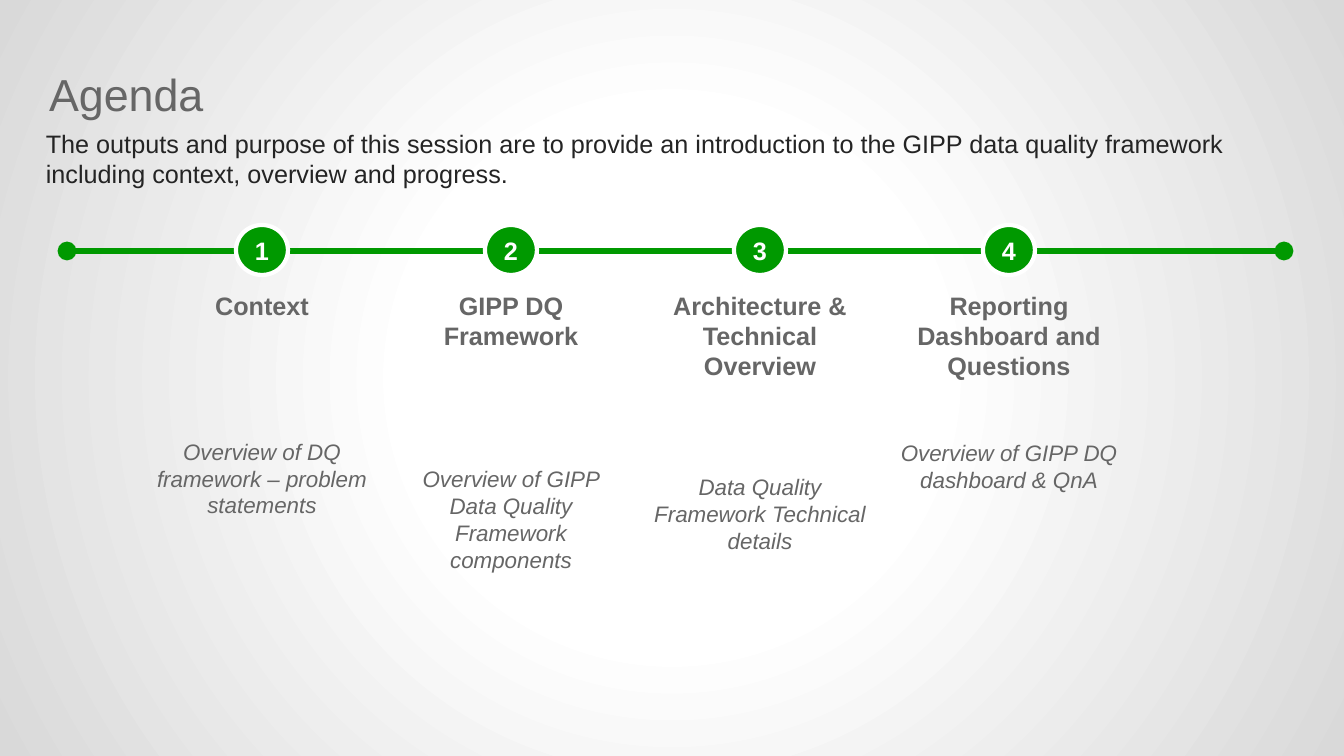
from lxml import etree
from pptx import Presentation
from pptx.dml.color import RGBColor
from pptx.enum.shapes import MSO_CONNECTOR, MSO_SHAPE
from pptx.enum.text import MSO_ANCHOR, MSO_AUTO_SIZE, PP_ALIGN
from pptx.oxml import parse_xml
from pptx.oxml.ns import qn
from pptx.util import Pt

GREEN = RGBColor(0x00, 0x99, 0x00)
GRAY = RGBColor(0x66, 0x66, 0x66)
DARK = RGBColor(0x24, 0x24, 0x24)
WHITE = RGBColor(0xFF, 0xFF, 0xFF)
SILVER = RGBColor(0xD9, 0xD9, 0xD9)

SCALE = 914400 / 100.8
SPACE = "http://schemas.openxmlformats.org/drawingml/2006/main"
FONT = "Arial"

TITLE = dict(size=Pt(32))
INTRO = dict(size=Pt(18))
BADGE = dict(size=Pt(18), bold=True)
HEAD = dict(size=Pt(18), bold=True)
DETAIL = dict(size=Pt(16), italic=True)

STEPS = [
    ("Context", "Overview of DQ framework – problem statements", 84),
    ("GIPP DQ Framework", "Overview of GIPP Data Quality Framework components", 82),
    ("Architecture & Technical Overview", "Data Quality Framework Technical details", 66),
    ("Reporting Dashboard and Questions", "Overview of GIPP DQ dashboard & QnA", 42),
]
PITCH = 249


def emu(*px):
    return [round(n * SCALE) for n in px]


class Deck:
    def __init__(self):
        self.prs = Presentation()
        self.prs.slide_width, self.prs.slide_height = emu(1344, 756)
        self.slide = self.prs.slides.add_slide(self.prs.slide_layouts[5])
        self.shapes = self.slide.shapes

    def back(self):
        fill = self.slide.background.fill
        fill.gradient()
        for stop, (place, color) in zip(fill.gradient_stops, [(0.34, WHITE), (1, SILVER)]):
            stop.position = place
            stop.color.rgb = color
        lin = next(self.slide.element.iter(qn("a:lin")))
        lin.getparent().replace(lin, parse_xml(
            f'<a:path xmlns:a="{SPACE}" path="circle">'
            '<a:fillToRect l="50000" t="50000" r="50000" b="50000"/></a:path>'))

    def label(self, para, text, style, color, align=PP_ALIGN.LEFT):
        para.text = text
        para.alignment = align
        for key, value in dict(style, name=FONT).items():
            setattr(para.font, key, value)
        para.font.color.rgb = color

    def title(self, text, *box):
        shape = self.shapes.title
        shape.left, shape.top, shape.width, shape.height = emu(*box)
        frame = shape.text_frame
        form = dict(margin_left=0, margin_top=0, margin_right=0, margin_bottom=0,
                    vertical_anchor=MSO_ANCHOR.TOP, auto_size=MSO_AUTO_SIZE.NONE)
        for key, value in form.items():
            setattr(frame, key, value)
        self.label(frame.paragraphs[0], text, TITLE, GRAY)
        frame.paragraphs[0].line_spacing = 0.9

    def text(self, *box):
        frame = self.shapes.add_textbox(*emu(*box)).text_frame
        frame.word_wrap = True
        return frame

    def line(self, *ends):
        line = self.shapes.add_connector(MSO_CONNECTOR.STRAIGHT, *emu(*ends))
        line.line.color.rgb = GREEN
        line.line.width = Pt(4.5)
        props = line._element.spPr
        pen = props.find(qn("a:ln"))
        for end in ("a:headEnd", "a:tailEnd"):
            etree.SubElement(pen, qn(end), type="oval")
        etree.SubElement(props, qn("a:effectLst"))

    def badge(self, text, *box):
        shape = self.shapes.add_shape(MSO_SHAPE.FLOWCHART_CONNECTOR, *emu(*box))
        shape.shadow.inherit = False
        shape.fill.solid()
        shape.fill.fore_color.rgb = GREEN
        shape.line.color.rgb = WHITE
        shape.line.width = Pt(3)
        shape.text_frame.vertical_anchor = MSO_ANCHOR.MIDDLE
        self.label(shape.text_frame.paragraphs[0], text, BADGE, WHITE, PP_ALIGN.CENTER)

    def step(self, head, detail, gap, *box):
        frame = self.text(*box)
        self.label(frame.paragraphs[0], head, HEAD, GRAY, PP_ALIGN.CENTER)
        para = frame.add_paragraph()
        self.label(para, detail, DETAIL, GRAY, PP_ALIGN.CENTER)
        para.space_before = Pt(gap)


def main():
    deck = Deck()
    deck.back()
    deck.title("Agenda", 49, 73, 1068, 110)
    intro = deck.text(36, 123, 1275, 72)
    deck.label(intro.paragraphs[0],
               "The outputs and purpose of this session are to provide an introduction to "
               "the GIPP data quality framework including context, overview and progress.",
               INTRO, DARK)
    deck.line(67, 251, 1284, 251)
    for i, (head, detail, gap) in enumerate(STEPS):
        deck.badge(str(i + 1), 236 + i * PITCH, 225, 52, 50)
        deck.step(head, detail, gap, 143 + i * PITCH, 285, 238, 295)
    deck.prs.save("out.pptx")


if __name__ == "__main__":
    main()
